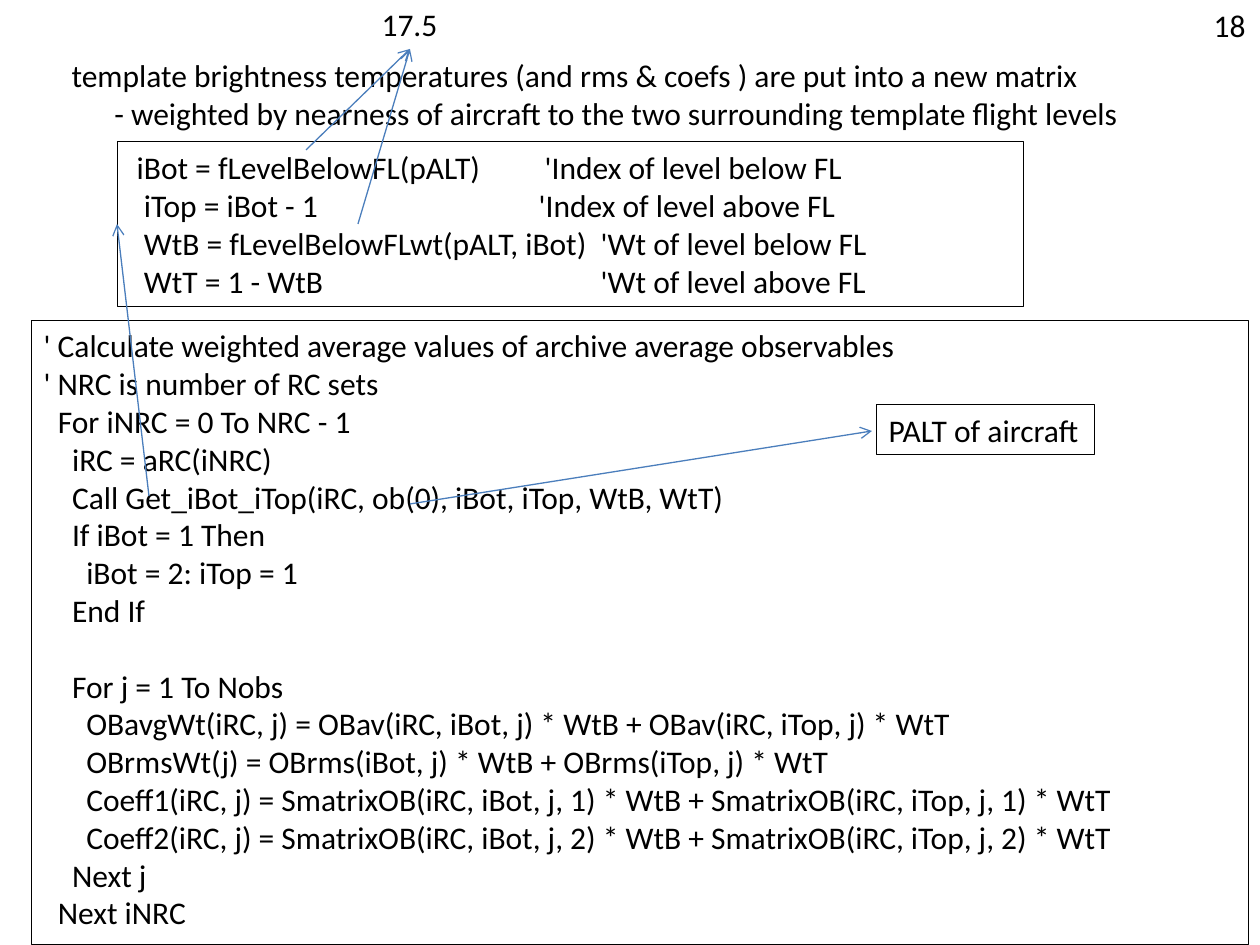
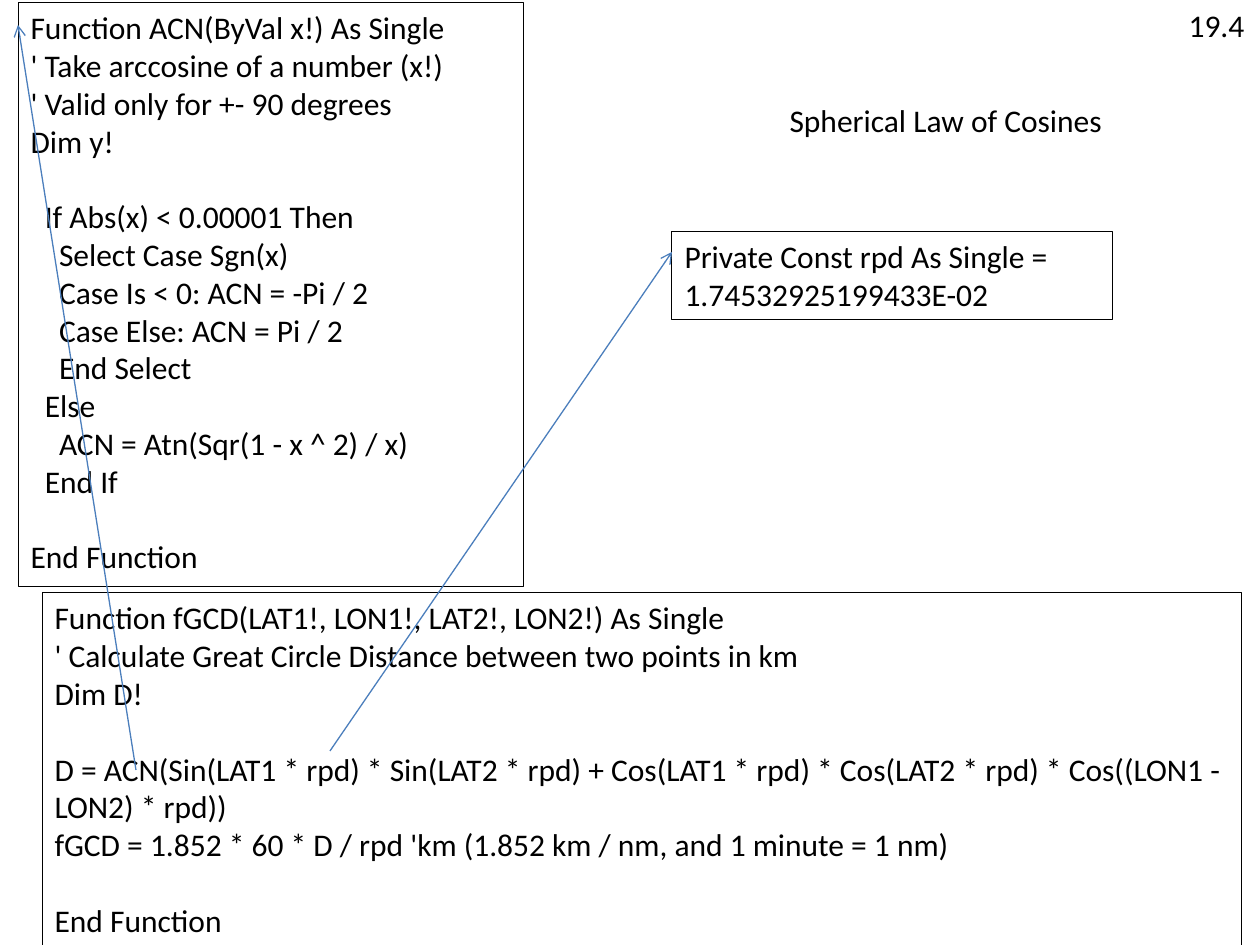
from lxml.etree import SubElement
from pptx import Presentation
from pptx.dml.color import RGBColor
from pptx.enum.shapes import MSO_CONNECTOR
from pptx.enum.text import MSO_AUTO_SIZE, PP_ALIGN
from pptx.oxml.ns import qn
from pptx.util import Pt

PX = 914400 // 126          # EMU in one pixel
INK, ARROW = "000000", "4B7EBC"
FONT, SIZE = "Calibri", 18
SPACE = 7.12                # width of one space, pixels
LINE_PT = 21.6              # height of one line, points
INSET_X, INSET_Y = 12.6, 6.3

AVERAGE_CODE = """\
' Calculate weighted average values of archive average observables
' NRC is number of RC sets
  For iNRC = 0 To NRC - 1
    iRC = aRC(iNRC)
    Call Get_iBot_iTop(iRC, ob(0), iBot, iTop, WtB, WtT)
    If iBot = 1 Then
      iBot = 2: iTop = 1
    End If

    For j = 1 To Nobs
      OBavgWt(iRC, j) = OBav(iRC, iBot, j) * WtB + OBav(iRC, iTop, j) * WtT
      OBrmsWt(j) = OBrms(iBot, j) * WtB + OBrms(iTop, j) * WtT
      Coeff1(iRC, j) = SmatrixOB(iRC, iBot, j, 1) * WtB + SmatrixOB(iRC, iTop, j, 1) * WtT
      Coeff2(iRC, j) = SmatrixOB(iRC, iBot, j, 2) * WtB + SmatrixOB(iRC, iTop, j, 2) * WtT
    Next j
  Next iNRC"""

DISTANCE_CODE = """\
Function fGCD(LAT1!, LON1!, LAT2!, LON2!) As Single
' Calculate Great Circle Distance between two points in km
Dim D!

D = ACN(Sin(LAT1 * rpd) * Sin(LAT2 * rpd) + Cos(LAT1 * rpd) * Cos(LAT2 * rpd) * Cos((LON1 - LON2) * rpd))
fGCD = 1.852 * 60 * D / rpd 'km (1.852 km / nm, and 1 minute = 1 nm)

End Function"""

ARCCOSINE_CODE = """\
Function ACN(ByVal x!) As Single
' Take arccosine of a number (x!)
' Valid only for +- 90 degrees
Dim y!

  If Abs(x) < 0.00001 Then
    Select Case Sgn(x)
    Case Is < 0: ACN = -Pi / 2
    Case Else: ACN = Pi / 2
    End Select
  Else
    ACN = Atn(Sqr(1 - x ^ 2) / x)
  End If

End Function"""

NOTE = """\
template brightness temperatures (and rms & coefs ) are put into a new matrix
      - weighted by nearness of aircraft to the two surrounding template flight levels"""

# Assignment, comment, and the comment's tab stop in pixels
WEIGHTS = [
    ("iBot = fLevelBelowFL(pALT)", "'Index of level below FL", 408),
    (" iTop = iBot - 1", "'Index of level above FL", 402),
    (" WtB = fLevelBelowFLwt(pALT, iBot)", "'Wt of level below FL", 464),
    (" WtT = 1 - WtB", "'Wt of level above FL", 464),
]


def px(n):
    return round(n * PX)


def rgb(color):
    return RGBColor.from_string(color)


def add_box(s, box, wrap=True, border=True):
    """Empty text frame, with or without a thin outline."""
    sp = s.shapes.add_textbox(*map(px, box))
    if border:
        sp.line.color.rgb = rgb(INK)
        sp.line.width = Pt(0.5)
    tf = sp.text_frame
    tf.word_wrap = wrap
    tf.auto_size = MSO_AUTO_SIZE.SHAPE_TO_FIT_TEXT
    tf.margin_left = tf.margin_right = px(INSET_X)
    tf.margin_top = tf.margin_bottom = px(INSET_Y)
    return tf


def add_line(tf, text, first):
    p = tf.paragraphs[0] if first else tf.add_paragraph()
    p.text = text
    p.alignment = PP_ALIGN.LEFT
    for r in p.runs:
        r.font.name, r.font.size = FONT, Pt(SIZE)
        r.font.color.rgb = rgb(INK)
    return p


def add_text(s, box, text, wrap=True, border=True):
    """Leading spaces become indents, empty lines become space before."""
    tf = add_box(s, box, wrap, border)
    gap = 0
    for i, line in enumerate(text.splitlines()):
        body = line.lstrip()
        if not body:
            gap += LINE_PT
            continue
        p = add_line(tf, body, i == 0)
        indent = len(line) - len(body)
        if indent:
            pPr = p._p.get_or_add_pPr()
            pPr.set("marL", str(px(indent * SPACE)))
            pPr.set("indent", "0")
        if gap:
            p.space_before = Pt(gap)
            gap = 0


def add_label(s, box, text, border=False):
    add_text(s, box, text, wrap=False, border=border)


def add_weights(s, box):
    """Assignments with comments set off by tab stops."""
    tf = add_box(s, box)
    tf.margin_left = px(INSET_X + SPACE)
    for i, (code, comment, stop) in enumerate(WEIGHTS):
        p = add_line(tf, f"{code}\t{comment}", i == 0)
        tabs = SubElement(p._p.get_or_add_pPr(), qn("a:tabLst"))
        SubElement(tabs, qn("a:tab"), pos=str(px(stop)), algn="l")


def add_arrow(s, start, end):
    c = s.shapes.add_connector(MSO_CONNECTOR.STRAIGHT, *map(px, start + end))
    c.line.color.rgb = rgb(ARROW)
    c.line.width = Pt(0.75)
    SubElement(c.line._ln, qn("a:tailEnd"), type="arrow")
    SubElement(c._element.spPr, qn("a:effectLst"))


def within(box, dx, dy):
    return box[0] + dx, box[1] + dy


def weighting_slide(s):
    weights, average = (117, 142, 907, 165), (31, 320, 1218, 624)
    aircraft, source = (876, 405, 218, 50), (369, -1, 82, 50)
    source_tip = within(source, 41, 50)

    # Note and code
    add_label(s, (59, 50, 1079, 89), NOTE)
    add_weights(s, weights)
    add_text(s, average, AVERAGE_CODE)

    # Calls and what they refer to
    add_arrow(s, within(average, 118, 176), within(weights, 0, 82))
    add_arrow(s, within(average, 379, 184), within(aircraft, -4, 26))
    add_label(s, aircraft, "PALT of aircraft", border=True)
    add_label(s, (1201, 0, 58, 50), "18")
    add_arrow(s, within(weights, 189, 8), source_tip)
    add_label(s, source, "17.5")
    add_arrow(s, within(weights, 241, 82), source_tip)


def distance_slide(s):
    distance, arccosine = (42, 592, 1200, 357), (18, 2, 506, 585)
    constant = (672, 231, 441, 89)

    # Page number and code
    add_label(s, (1176, 0, 82, 50), "19.4")
    add_text(s, distance, DISTANCE_CODE)
    add_text(s, arccosine, ARCCOSINE_CODE)

    # Calls and what they refer to
    add_arrow(s, within(distance, 94, 178), within(arccosine, 0, 23))
    add_text(s, constant, "Private Const rpd As Single = 1.74532925199433E-02")
    add_arrow(s, within(distance, 288, 159), within(constant, 0, 21))
    add_label(s, (777, 95, 338, 50), "Spherical Law of Cosines")


prs = Presentation()
prs.slide_width, prs.slide_height = px(1260), px(945)
blank = prs.slide_layouts[6]
for build in (weighting_slide, distance_slide):
    build(prs.slides.add_slide(blank))
prs.save("out.pptx")
